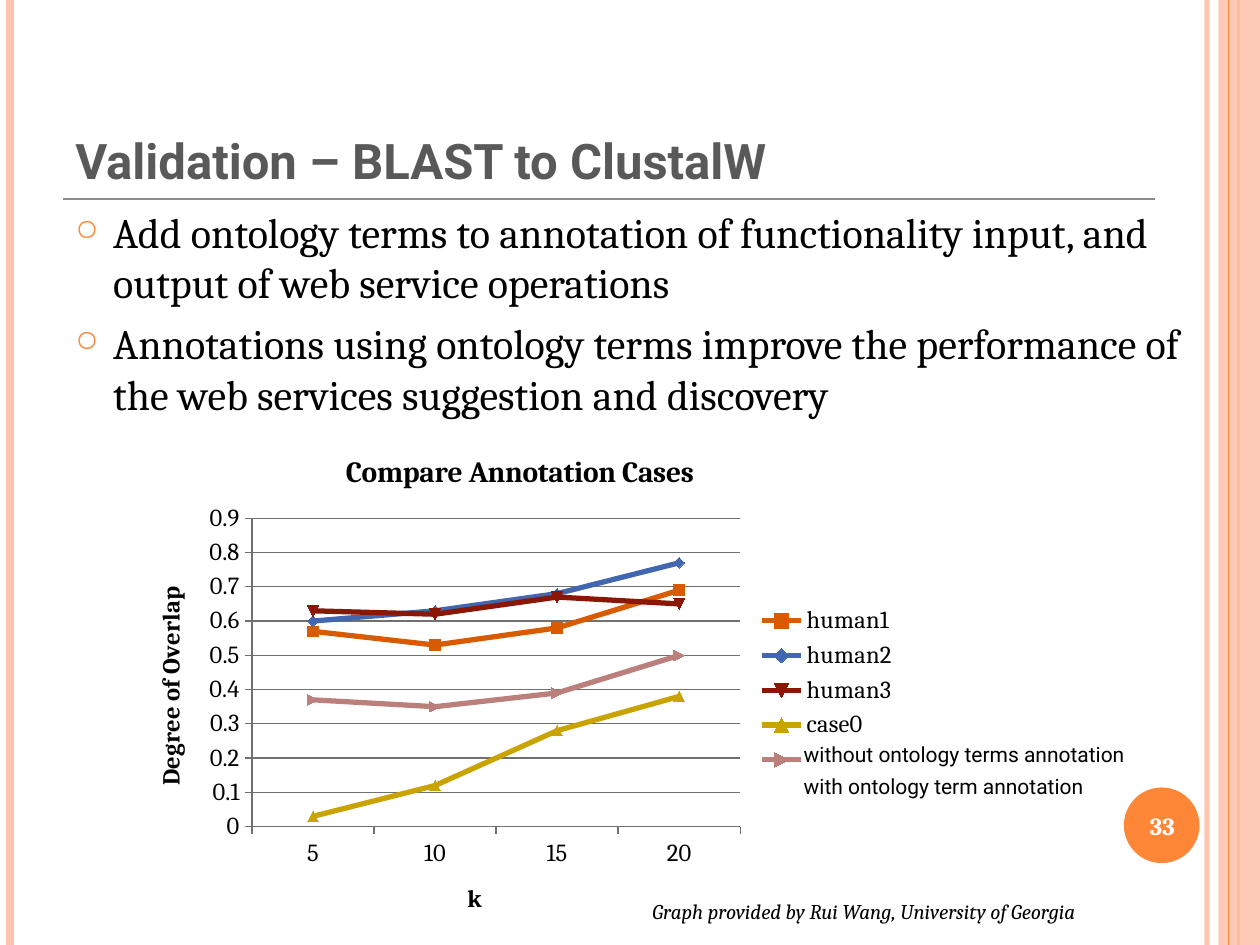
from lxml import etree
from pptx import Presentation
from pptx.chart.data import CategoryChartData
from pptx.dml.color import RGBColor
from pptx.enum.chart import XL_CHART_TYPE, XL_LEGEND_POSITION, XL_TICK_MARK
from pptx.enum.shapes import MSO_CONNECTOR, MSO_SHAPE
from pptx.enum.text import MSO_ANCHOR, PP_ALIGN
from pptx.oxml import parse_xml
from pptx.oxml.ns import nsdecls, qn
from pptx.util import Inches, Pt

LINES = XL_CHART_TYPE.LINE_MARKERS
RIGHT = XL_LEGEND_POSITION.RIGHT
OUTSIDE = XL_TICK_MARK.OUTSIDE
STRAIGHT = MSO_CONNECTOR.STRAIGHT
RECT, OVAL = MSO_SHAPE.RECTANGLE, MSO_SHAPE.OVAL
TOP, MIDDLE, BOTTOM = MSO_ANCHOR.TOP, MSO_ANCHOR.MIDDLE, MSO_ANCHOR.BOTTOM
LEFT, CENTER = PP_ALIGN.LEFT, PP_ALIGN.CENTER

BLACK = RGBColor(0x00, 0x00, 0x00)
WHITE = RGBColor(0xFF, 0xFF, 0xFF)
SLATE = RGBColor(0x59, 0x59, 0x59)
GRAY = RGBColor(0x8C, 0x8C, 0x8C)
GRID = RGBColor(0x70, 0x70, 0x70)
PEACH = RGBColor(0xFE, 0xC3, 0xAE)
ORANGE = RGBColor(0xFE, 0x86, 0x37)
RUST = RGBColor(0xD9, 0x5B, 0x00)
BLUE = RGBColor(0x42, 0x66, 0xB0)
MAROON = RGBColor(0x8A, 0x16, 0x06)
GOLD = RGBColor(0xC9, 0xA4, 0x00)
ROSE = RGBColor(0xBB, 0x7F, 0x7C)

SERIF, SANS = "Cambria", "Roboto"

BARS = [  # x, colour, width, opacity
    (9.58, PEACH, 3, 93),
    (0.08, PEACH, 4.5, 100),
    (9.83, ORANGE, 1.5, 100),
]
POINTS = [
    "Add ontology terms to annotation of functionality input, and output of web service operations",
    "Annotations using ontology terms improve the performance of the web services suggestion and discovery",
]
KEYS = ["without ontology terms annotation", "with ontology term annotation"]
CASES = [  # the last case is labelled by the text box beside its legend key
    ("human1", RUST, (0.57, 0.53, 0.58, 0.69)),
    ("human2", BLUE, (0.6, 0.63, 0.68, 0.77)),
    ("human3", MAROON, (0.63, 0.62, 0.67, 0.65)),
    ("case0", GOLD, (0.03, 0.12, 0.28, 0.38)),
    (" ", ROSE, (0.37, 0.35, 0.39, 0.5)),
]


def fade(fill, alpha):
    """Set the opacity, in percent, of a solid fill or line colour."""
    if alpha < 100:
        color = fill.find(".//" + qn("a:srgbClr"))
        etree.SubElement(color, qn("a:alpha"), val=str(alpha * 1000))


def place(part, x, y, wide, high, inner=False):
    """Fix a chart part at fractions of the chart's size."""
    target = '<c:layoutTarget val="inner"/>' if inner else ""
    layout = parse_xml(
        f'<c:layout {nsdecls("c")}><c:manualLayout>{target}'
        '<c:xMode val="edge"/><c:yMode val="edge"/>'
        f'<c:x val="{x}"/><c:y val="{y}"/><c:w val="{wide}"/><c:h val="{high}"/>'
        "</c:manualLayout></c:layout>")
    for old in part.findall(qn("c:layout")):
        part.remove(old)
    spot = part.find(qn("c:legendPos"))
    if spot is None:
        part.insert(0, layout)
    else:
        spot.addnext(layout)


class Page:
    def __init__(self, slide):
        self.shapes = slide.shapes

    def line(self, start, end, color, width, alpha=100):
        line = self.shapes.add_connector(STRAIGHT, *map(Inches, start + end))
        line.line.color.rgb = color
        line.line.width = Pt(width)
        props = line._element.spPr
        fade(props, alpha)
        etree.SubElement(props, qn("a:effectLst"))

    def shape(self, kind, box, color, alpha=100):
        shape = self.shapes.add_shape(kind, *map(Inches, box))
        shape.shadow.inherit = False
        shape.fill.solid()
        shape.fill.fore_color.rgb = color
        fade(shape._element.spPr, alpha)
        shape.line.fill.background()

    def text(self, box, lines, size, face=SERIF, color=BLACK, bold=False,
             italic=False, anchor=TOP, align=LEFT, before=0, after=0, bullet=False):
        frame = self.shapes.add_textbox(*map(Inches, box)).text_frame
        frame.word_wrap = True
        frame.vertical_anchor = anchor
        frame.text = "\n".join(lines)
        for para in frame.paragraphs:
            para.alignment = align
            para.space_before, para.space_after = Pt(before), Pt(after)
            self.style(para.font, size, face, color, bold)
            para.font.italic = italic
            if bullet:
                self.bullet(para)

    def style(self, font, size, face=SERIF, color=BLACK, bold=False):
        font.size, font.name, font.bold = Pt(size), face, bold
        font.color.rgb = color

    def bullet(self, para):
        props = para._p.get_or_add_pPr()
        props.set("marL", str(Inches(0.3)))
        props.set("indent", str(-Inches(0.3)))
        marks = parse_xml(
            f'<a:pPr {nsdecls("a")}><a:buClr><a:srgbClr val="{ORANGE}"/></a:buClr>'
            '<a:buSzPct val="70000"/><a:buChar char="○"/></a:pPr>')
        spot = props.index(props.find(qn("a:defRPr")))
        props[spot:spot] = list(marks)

    def label(self, part, words, size):
        frame = part.text_frame
        frame.text = words
        self.style(frame.paragraphs[0].font, size, bold=True)

    def chart(self, box, title, names, cats, cases):
        data = CategoryChartData()
        data.categories = cats
        for name, _, values in cases:
            data.add_series(name, values)
        chart = self.shapes.add_chart(LINES, *map(Inches, box), data).chart
        self.style(chart.font, 14)
        chart.has_title = True
        self.label(chart.chart_title, title, 16.8)
        for axis, name in zip((chart.category_axis, chart.value_axis), names):
            axis.has_title = True
            self.label(axis.axis_title, name, 14)
            axis.major_tick_mark = OUTSIDE
            axis.format.line.color.rgb = GRID
        scale = chart.value_axis
        scale.minimum_scale, scale.maximum_scale, scale.major_unit = 0, 0.9, 0.1
        scale.tick_labels.number_format = "General"
        scale.tick_labels.number_format_is_linked = False
        scale.major_gridlines.format.line.color.rgb = GRID
        chart.has_legend = True
        chart.legend.position = RIGHT
        chart.legend.include_in_layout = False
        plot = chart.plots[0]
        plot.vary_by_categories = False
        for series, (_, color, _) in zip(plot.series, cases):
            series.smooth = False
            series.format.line.color.rgb = color
            series.format.line.width = Pt(3)
            series.marker.size = 6
            look = series.marker.format
            look.fill.solid()
            look.fill.fore_color.rgb = color
            look.line.color.rgb = color
        area = chart._chartSpace.chart.plotArea
        place(area, 0.16, 0.17, 0.62, 0.6, inner=True)
        place(chart.legend._element, 0.79, 0.33, 0.2, 0.35)


def main():
    deck = Presentation()
    deck.slide_width, deck.slide_height = Inches(10), Inches(7.5)
    page = Page(deck.slides.add_slide(deck.slide_layouts[6]))

    for x, color, width, alpha in BARS:
        page.line((x, 0), (x, 7.5), color, width, alpha)
    page.shape(RECT, (9.67, 0, 0.33, 7.5), PEACH, 87)
    page.line((9.75, 0), (9.75, 7.5), ORANGE, 0.75)
    page.shape(OVAL, (8.92, 6.25, 0.6, 0.6), ORANGE)
    page.line((0.5, 1.58), (9.17, 1.58), GRAY, 0.75)

    page.text((0.5, 0.3, 8.17, 1.25), ["Validation – BLAST to ClustalW"], 28,
              SANS, SLATE, bold=True, anchor=BOTTOM)
    page.text((0.5, 1.59, 9.17, 5.33), POINTS, 24, before=6, bullet=True)
    page.text((8.89, 6.27, 0.67, 0.57), ["33"], 14, color=WHITE, bold=True,
              anchor=MIDDLE, align=CENTER)
    page.chart((1, 3.42, 6.25, 4.08), "Compare Annotation Cases",
               ("k", "Degree of Overlap"), ("5", "10", "15", "20"), CASES)
    page.text((6.28, 5.78, 3.21, 0.67), KEYS, 12, SANS, anchor=MIDDLE, after=4)
    page.text((5.08, 7.08, 4.25, 0.3),
              ["Graph provided by Rui Wang, University of Georgia"], 12, italic=True)
    deck.save("out.pptx")


if __name__ == "__main__":
    main()
